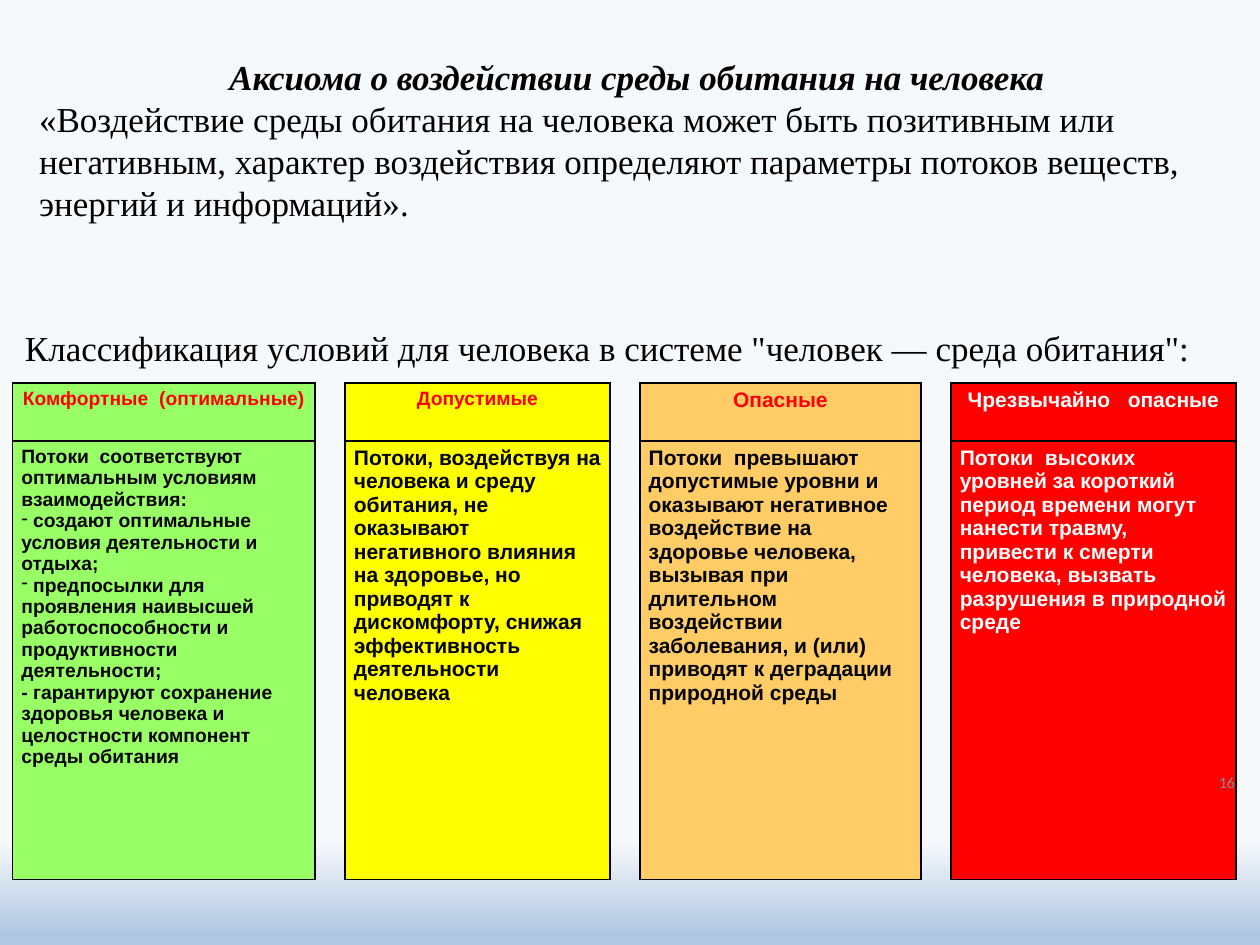
import pptx
import pptx.dml.color
import pptx.enum.text
import pptx.oxml.ns
import pptx.util
from lxml import etree

Inches = pptx.util.Inches
ALIGN = pptx.enum.text.PP_ALIGN
ANCHOR = pptx.enum.text.MSO_ANCHOR
SERIF = "Times New Roman"

COLUMN_WIDTHS = [2.4, 0.18, 2.1, 0.19, 2.23, 0.23, 2.26]
ROW_HEIGHTS = [0.46, 3.48]

# name, fill, heading size, heading colour, body size, body colour, body lines
CLASSES = [
    ("Комфортные  (оптимальные)", "99FF66", 11, "FF0000", 11, "000000", [
        "Потоки  соответствуют оптимальным условиям взаимодействия:",
        "• создают оптимальные условия деятельности и отдыха;",
        "• предпосылки для проявления наивысшей работоспособности и "
        "продуктивности деятельности;",
        "- гарантируют сохранение здоровья человека и целостности "
        "компонент среды обитания"]),
    ("Допустимые", "FFFF00", 11, "FF0000", 12, "000000", [
        "Потоки, воздействуя на человека и среду обитания, не оказывают "
        "негативного влияния на здоровье, но приводят к дискомфорту, "
        "снижая эффективность деятельности человека"]),
    ("Опасные", "FFCC66", 12, "FF0000", 12, "000000", [
        "Потоки  превышают допустимые уровни и оказывают негативное "
        "воздействие на здоровье человека, вызывая при длительном "
        "воздействии заболевания, и (или) приводят к деградации "
        "природной среды"]),
    ("Чрезвычайно   опасные", "FF0000", 12, "FFFFFF", 12, "FFFFFF", [
        "Потоки  высоких уровней за короткий период времени могут нанести "
        "травму, привести к смерти человека, вызвать разрушения в "
        "природной среде"]),
]


def color(value):
    return pptx.dml.color.RGBColor.from_string(value)


def add_xml(parent, tag, **attributes):
    return etree.SubElement(parent, pptx.oxml.ns.qn(tag), attributes)


def format_paragraph(paragraph, size, font, value, align=ALIGN.LEFT,
                     bold=False, italic=False):
    paragraph.alignment = align
    for run in paragraph.runs:
        run.font.size = pptx.util.Pt(size)
        run.font.name = font
        run.font.color.rgb = color(value)
        run.font.bold = bold
        run.font.italic = italic


def paint_background(slide):
    fill = slide.background.fill
    fill.gradient()
    fill.gradient_angle = 270
    stops = [(0.89, "F6F9FC"), (0.99, "B0C6E1")]
    for stop, (position, value) in zip(fill.gradient_stops, stops):
        stop.position = position
        stop.color.rgb = color(value)


def add_title(slide):
    title = slide.shapes.title
    title.left, title.top = Inches(0.21), Inches(0.39)
    title.width, title.height = Inches(9.69), Inches(1.45)
    frame = title.text_frame
    frame.text = (
        "Аксиома о воздействии среды обитания на человека\n"
        "«Воздействие среды обитания на человека может быть позитивным или "
        "негативным, характер воздействия определяют параметры потоков "
        "веществ, энергий и информаций».")
    frame.vertical_anchor = ANCHOR.TOP
    frame.auto_size = pptx.enum.text.MSO_AUTO_SIZE.NONE
    heading, statement = frame.paragraphs
    format_paragraph(heading, 20, SERIF, "000000", ALIGN.CENTER, True, True)
    format_paragraph(statement, 20, SERIF, "000000")


def add_text(slide, box, text, size, font, value, align=ALIGN.LEFT,
             anchor=ANCHOR.TOP):
    frame = slide.shapes.add_textbox(*map(Inches, box)).text_frame
    frame.word_wrap = True
    frame.vertical_anchor = anchor
    frame.text = text
    format_paragraph(frame.paragraphs[0], size, font, value, align)


def set_borders(cell, sides):
    """Draw black lines on the named sides and clear the others."""
    properties = cell._tc.get_or_add_tcPr()
    for side in "LRTB":
        line = add_xml(properties, f"a:ln{side}", w="12700")
        if side in sides:
            add_xml(add_xml(line, "a:solidFill"), "a:srgbClr", val="000000")
        else:
            add_xml(line, "a:noFill")


def add_dash(paragraph):
    properties = paragraph._p.get_or_add_pPr()
    properties.set("marL", "0")
    properties.set("indent", "0")
    add_xml(properties, "a:buFontTx")
    add_xml(properties, "a:buChar", char="-")


def fill_cell(cell, lines, fill, size, value, align=ALIGN.LEFT):
    set_borders(cell, "LRTB")
    cell.fill.solid()
    cell.fill.fore_color.rgb = color(fill)
    cell.margin_left = cell.margin_right = Inches(0.07)
    cell.margin_top = cell.margin_bottom = Inches(0.04)
    cell.text_frame.text = "\n".join(line.removeprefix("•") for line in lines)
    for paragraph, line in zip(cell.text_frame.paragraphs, lines):
        if line.startswith("•"):
            add_dash(paragraph)
        format_paragraph(paragraph, size, "Arial", value, align, bold=True)


def add_classes_table(slide):
    table = slide.shapes.add_table(
        len(ROW_HEIGHTS), len(COLUMN_WIDTHS), Inches(0.1), Inches(3.04),
        Inches(sum(COLUMN_WIDTHS)), Inches(sum(ROW_HEIGHTS))).table
    table.first_row = table.horz_banding = False
    for column, width in zip(table.columns, COLUMN_WIDTHS):
        column.width = Inches(width)
    for row, height in zip(table.rows, ROW_HEIGHTS):
        row.height = Inches(height)
    for index, (name, fill, name_size, name_color, size, value,
                lines) in enumerate(CLASSES):
        column = 2 * index
        fill_cell(table.cell(0, column), [name], fill, name_size, name_color,
                  ALIGN.CENTER)
        fill_cell(table.cell(1, column), lines, fill, size, value)
    for gap in range(1, len(COLUMN_WIDTHS), 2):
        table.cell(0, gap).merge(table.cell(1, gap))
        for row in range(len(ROW_HEIGHTS)):
            set_borders(table.cell(row, gap), "LR")
            table.cell(row, gap).fill.background()


def main():
    presentation = pptx.Presentation()
    presentation.slide_width = Inches(10)
    presentation.slide_height = Inches(7.5)
    slide = presentation.slides.add_slide(presentation.slide_layouts[5])
    paint_background(slide)
    add_title(slide)
    add_classes_table(slide)
    add_text(slide, (0.1, 2.54, 9.6, 0.44),
             'Классификация условий для человека в системе '
             '"человек — среда обитания":', 20, SERIF, "000000")
    add_text(slide, (8.96, 5.93, 0.94, 0.55), "16", 9, "Calibri", "8C8C8C",
             ALIGN.RIGHT, ANCHOR.MIDDLE)
    presentation.save("out.pptx")


if __name__ == "__main__":
    main()
